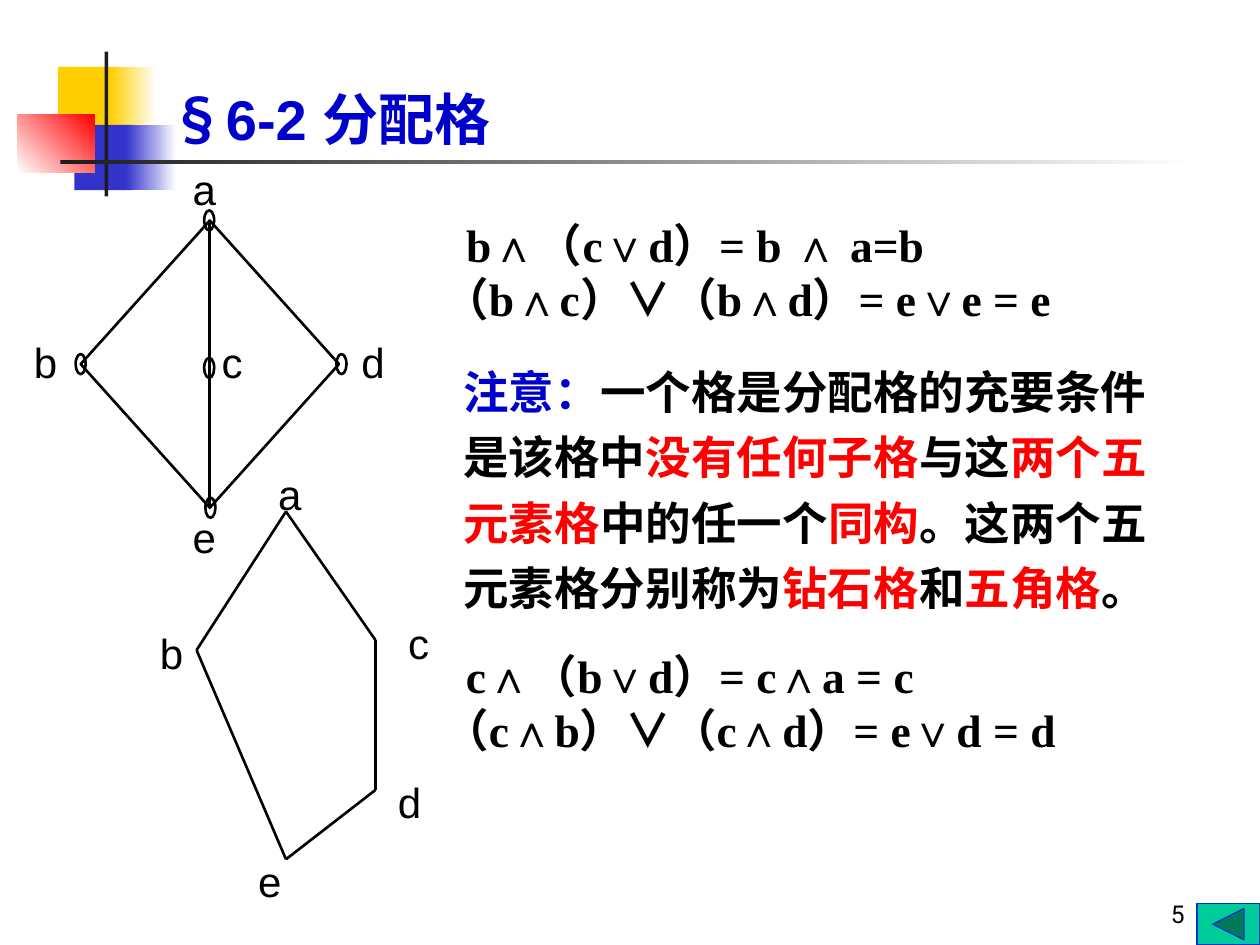
from dataclasses import dataclass

from lxml import etree
from pptx import Presentation
from pptx.dml.color import RGBColor
from pptx.enum.shapes import MSO_CONNECTOR, MSO_SHAPE
from pptx.enum.text import MSO_ANCHOR, PP_ALIGN
from pptx.oxml.ns import qn
from pptx.util import Inches, Pt

RECTANGLE, DIAMOND = MSO_SHAPE.RECTANGLE, MSO_SHAPE.DIAMOND
NODE = MSO_SHAPE.FLOWCHART_CONNECTOR
BACK_BUTTON = MSO_SHAPE.ACTION_BUTTON_BACK_OR_PREVIOUS
STRAIGHT = MSO_CONNECTOR.STRAIGHT
TOP, BOTTOM = MSO_ANCHOR.TOP, MSO_ANCHOR.BOTTOM
LEFT, RIGHT = PP_ALIGN.LEFT, PP_ALIGN.RIGHT


@dataclass(frozen=True)
class Theme:
    black: str = "000000"
    white: str = "FFFFFF"
    dark: str = "1C1C1C"
    yellow: str = "FFCF01"
    violet: str = "3333CC"
    red: str = "FF0000"
    blue: str = "0000CC"
    button: str = "00CC99"
    button_line: str = "0033CC"
    sans: str = "Arial"
    serif: str = "Times New Roman"
    chinese: str = "Noto Sans CJK SC"
    number: str = "Roboto"
    title_size: int = 32
    body_size: int = 26
    label_size: int = 24
    number_size: int = 14
    line: float = 1.5


THEME = Theme()

# Content: left, top, width, height, fill colours, gradient angle
DECORATION = [
    (0.46, 0.53, 0.48, 0.52, [THEME.yellow], 0),
    (0.88, 0.53, 0.36, 0.52, [THEME.yellow, THEME.white], 0),
    (0.59, 0.99, 0.46, 0.52, [THEME.violet], 0),
    (1.0, 0.99, 0.4, 0.52, [THEME.violet, THEME.white], 0),
    (0.14, 0.91, 0.61, 0.46, [THEME.white, THEME.red], 45),
    (0.83, 0.41, 0.03, 1.15, [THEME.dark], 0),
    (0.48, 1.27, 9, 0.03, [THEME.dark, THEME.white], 0),
]
TITLE = [("§", THEME.chinese), ("6-2 ", THEME.sans), ("分配格", THEME.chinese)]

# Diamond lattice
DIAMOND_BOX = (0.64, 1.75, 2.05, 2.28)
NODE_SIZE = (0.08, 0.16)
NODES = [(1.62, 1.67), (0.6, 2.81), (1.63, 3.95), (2.67, 2.81), (1.62, 2.84)]
DIAMOND_LABELS = {"a": (1.43, 1.25), "d": (2.77, 2.62), "b": (0.17, 2.62),
                  "c": (1.66, 2.62), "e": (1.43, 4.01)}

# Pentagon lattice
CORNERS = [(2.27, 4.06), (2.98, 5.08), (2.98, 6.27), (2.27, 6.82), (1.56, 5.16)]
PENTAGON_LABELS = {"a": (2.11, 3.67), "b": (1.17, 4.93), "c": (3.14, 4.85),
                   "d": (3.06, 6.11), "e": (1.95, 6.74)}
LABEL_SIZE = (0.55, 0.5)

FORMULAS = [
    ((3.42, 1.67, 5.58, 0.97), ["b∧（c∨d）= b ∧ a=b", "（b∧c）∨（b∧d）= e∨e = e"]),
    ((3.42, 5.09, 6, 0.97), ["c∧（b∨d）= c∧a = c", "（c∧b）∨（c∧d）= e∨d = d"]),
]
FORMULA_INDENT = 0.18
NOTE = [
    ("注意：", THEME.blue),
    ("一个格是分配格的充要条件是该格中", THEME.black),
    ("没有任何子格", THEME.red),
    ("与这", THEME.black),
    ("两个五元素格", THEME.red),
    ("中的任一个", THEME.black),
    ("同构", THEME.red),
    ("。这两个五元素格分别称为", THEME.black),
    ("钻石格", THEME.red),
    ("和", THEME.black),
    ("五角格", THEME.red),
    ("。", THEME.black),
]


def rgb(colour):
    return RGBColor.from_string(colour)


def add_shape(page, kind, place, fills=(), angle=0, line=None, width=THEME.line):
    shape = page.shapes.add_shape(kind, *map(Inches, place))
    shape.shadow.inherit = False
    if len(fills) == 2:
        shape.fill.gradient()
        shape.fill.gradient_angle = angle
        for stop, colour, position in zip(shape.fill.gradient_stops, fills, (0, 1)):
            stop.color.rgb = rgb(colour)
            stop.position = position
    elif fills:
        shape.fill.solid()
        shape.fill.fore_color.rgb = rgb(fills[0])
    else:
        shape.fill.background()
    if line:
        shape.line.color.rgb = rgb(line)
        shape.line.width = Pt(width)
    else:
        shape.line.fill.background()
    return shape


def add_line(page, start, end):
    line = page.shapes.add_connector(STRAIGHT, *map(Inches, (*start, *end)))
    line.line.color.rgb = rgb(THEME.black)
    line.line.width = Pt(THEME.line)
    etree.SubElement(line._element.spPr, qn("a:effectLst"))
    return line


def add_text(page, place, paragraphs, size, bold=False, anchor=TOP,
             align=LEFT, spacing=None, indent=0):
    """Each paragraph is a list of (text, font, colour); indent is for the first."""
    box = page.shapes.add_textbox(*map(Inches, place))
    frame = box.text_frame
    frame.word_wrap = True
    frame.vertical_anchor = anchor
    for index, runs in enumerate(paragraphs):
        para = frame.paragraphs[0] if index == 0 else frame.add_paragraph()
        para.alignment = align
        if spacing:
            para.line_spacing = spacing
        if indent and index == 0:
            para._p.get_or_add_pPr().set("indent", str(Inches(indent)))
        for text, font, colour in runs:
            span = para.add_run()
            span.text = text
            span.font.name = font
            span.font.size = Pt(size)
            span.font.bold = bold
            span.font.color.rgb = rgb(colour)
            east_asian = etree.SubElement(span._r.get_or_add_rPr(), qn("a:ea"))
            east_asian.set("typeface", THEME.chinese)


def add_labels(page, labels):
    for name, corner in labels.items():
        add_text(page, (*corner, *LABEL_SIZE), [[(name, THEME.sans, THEME.black)]],
                 THEME.label_size)


def main():
    deck = Presentation()
    deck.slide_width, deck.slide_height = Inches(10), Inches(7.5)
    page = deck.slides.add_slide(deck.slide_layouts[6])

    # Corner decoration, title and page number
    for *place, fills, angle in DECORATION:
        add_shape(page, RECTANGLE, place, fills, angle)
    add_text(page, (1.25, 0, 8.52, 1.25),
             [[(text, font, THEME.blue) for text, font in TITLE]],
             THEME.title_size, bold=True, anchor=BOTTOM)
    add_text(page, (7.42, 6.92, 2.08, 0.5), [[("5", THEME.number, THEME.black)]],
             THEME.number_size, anchor=BOTTOM, align=RIGHT)

    # Diamond lattice
    for corner in NODES:
        add_shape(page, NODE, (*corner, *NODE_SIZE), line=THEME.black)
    diamond = add_shape(page, DIAMOND, DIAMOND_BOX, line=THEME.black)
    left, top, width, height = DIAMOND_BOX
    middle = left + width / 2
    axis = add_line(page, (middle, top), (middle, top + height))
    axis.begin_connect(diamond, 0)
    axis.end_connect(diamond, 2)
    add_labels(page, DIAMOND_LABELS)

    # Pentagon lattice
    for start, end in zip(CORNERS, CORNERS[1:] + CORNERS[:1]):
        add_line(page, start, end)
    add_labels(page, PENTAGON_LABELS)

    # Formulas and note
    for place, lines in FORMULAS:
        add_text(page, place, [[(line, THEME.serif, THEME.black)] for line in lines],
                 THEME.body_size, bold=True, indent=FORMULA_INDENT)
    add_text(page, (3.58, 2.75, 5.92, 2.2),
             [[(text, THEME.serif, colour) for text, colour in NOTE]],
             THEME.body_size, bold=True, spacing=1.2)

    # Back button
    add_shape(page, BACK_BUTTON, (9.5, 7.17, 0.5, 0.33), [THEME.button],
              line=THEME.button_line, width=0.75)

    deck.save("out.pptx")


if __name__ == "__main__":
    main()
